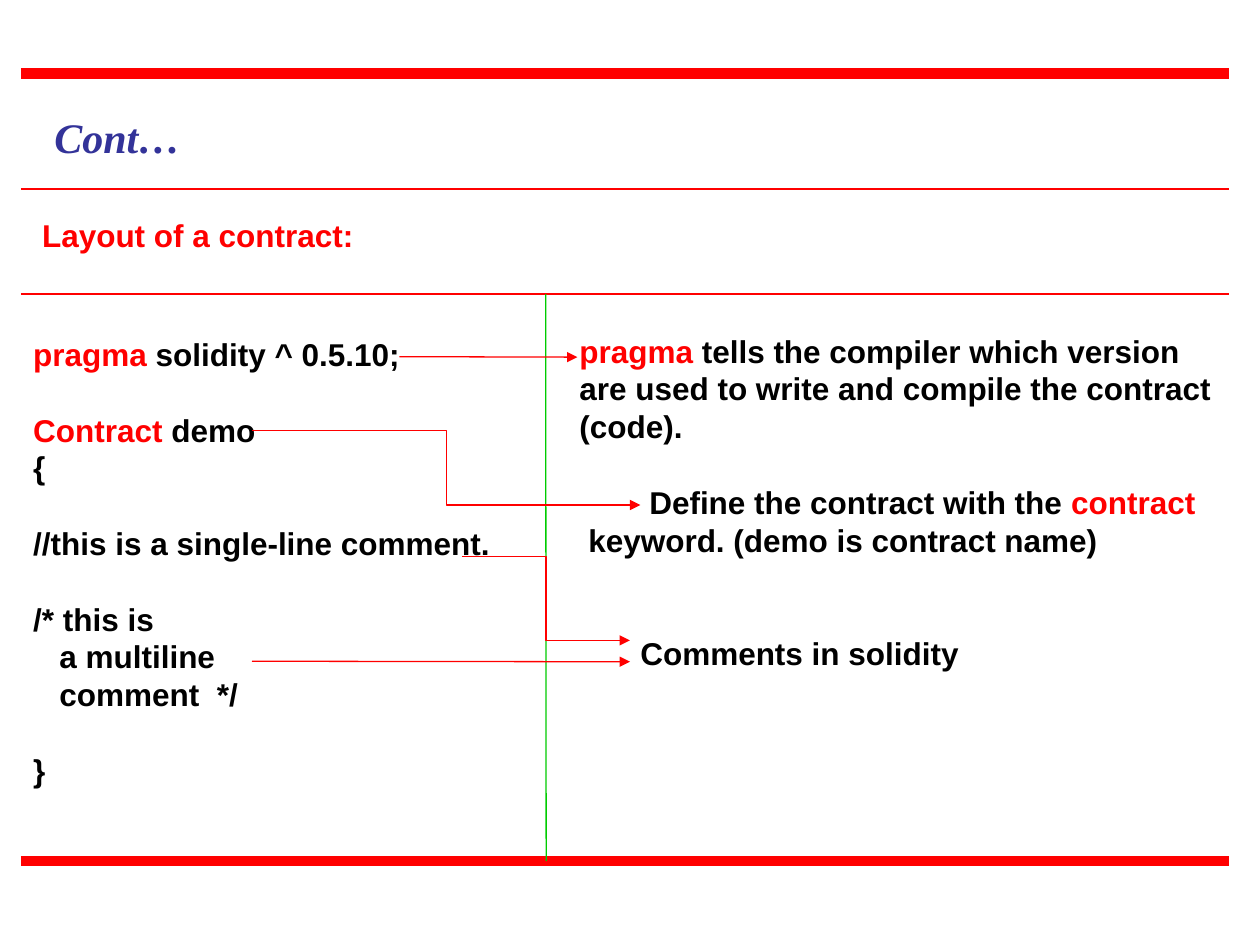
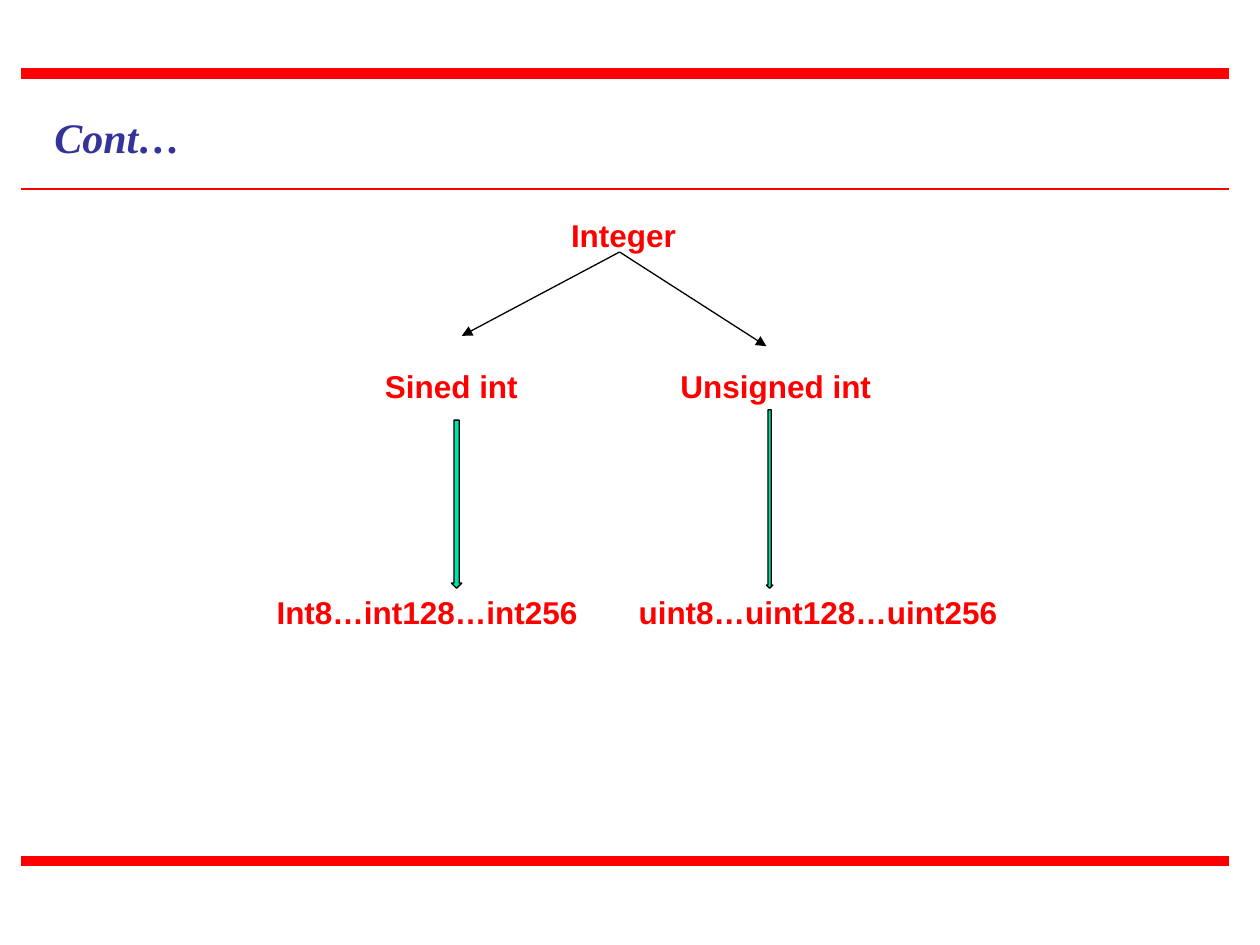
import pptx
import pptx.dml.color
import pptx.enum.shapes
import pptx.enum.text
import pptx.oxml.ns
import pptx.util
from lxml import etree

Cm = pptx.util.Cm
Pt = pptx.util.Pt
qn = pptx.oxml.ns.qn
Link = pptx.enum.shapes.MSO_CONNECTOR
Align = pptx.enum.text.PP_ALIGN

RED, BLACK, BLUE = "FF0000", "000000", "333399"
GREEN, MINT = "00CC00", "00E4A8"
SIZE, LEAD = 18, 1.2
LEFT, RIGHT = 0.42, 24.77
TOP, RULE, SPLIT, BASE = 1.48, 3.81, 5.93, 17.36
MID = 11


def paint(color, code):
    color.rgb = pptx.dml.color.RGBColor.from_string(code)


def draw(slide, ends, code, width=0.75, kind=Link.STRAIGHT, arrow=False):
    link = slide.shapes.add_connector(kind, *[Cm(end) for end in ends])
    link.line.width = Pt(width)
    paint(link.line.color, code)
    props = link._element.spPr
    if arrow:
        etree.SubElement(props.find(qn("a:ln")), qn("a:tailEnd"), type="triangle")
    etree.SubElement(props, qn("a:effectLst"))


deck = pptx.Presentation()
deck.slide_width, deck.slide_height = Cm(25.4), Cm(19.05)

slides = []
for _ in range(2):
    slide = deck.slides.add_slide(deck.slide_layouts[5])
    slides.append(slide)
    for y, width in ((TOP, 6), (RULE, 1.5), (BASE, 6)):
        draw(slide, (LEFT, y, RIGHT, y), RED, width)
    title = slide.shapes.title
    title.left, title.top = Cm(0.84), Cm(2.12)
    title.width, title.height = Cm(15.88), Cm(1.27)
    frame = title.text_frame
    frame.text = "Cont…"
    frame.auto_size = pptx.enum.text.MSO_AUTO_SIZE.NONE
    frame.vertical_anchor = pptx.enum.text.MSO_ANCHOR.TOP
    para = frame.paragraphs[0]
    para.alignment = Align.LEFT
    para.line_spacing = Pt(24 * LEAD)
    para.font.name, para.font.size = "Times New Roman", Pt(24)
    para.font.bold = para.font.italic = True
    paint(para.font.color, BLUE)

layout, types = slides

heading = [(0, 0.18, 0, [("Layout of a contract:", RED)])]
code = [
    (0, 0, 0, [("pragma", RED), (" solidity ^ 0.5.10;", BLACK)]),
    (1, 0, 0, [("Contract", RED), (" demo", BLACK)]),
    (0, 0, 0, [("{", BLACK)]),
    (1, 0, 0, [("//this is a single-line comment.", BLACK)]),
    (1, 0, 0, [("/* this is", BLACK)]),
    (0, 0, 0, [("   a multiline", BLACK)]),
    (0, 0, 0, [("   comment  */", BLACK)]),
    (1, 0, 0, [("}", BLACK)]),
]
notes = [
    (0, 0, 0, [("pragma", RED), (" tells the compiler which version are used to "
                                 "write and compile the contract (code).", BLACK)]),
    (1, 0.18, 1.23, [("Define the contract with the ", BLACK), ("contract ", RED),
                     ("keyword. (demo is contract name)", BLACK)]),
    (2, 1.23, 0, [("Comments in solidity", BLACK)]),
]
boxes = [
    (layout, (LEFT, 4.24, 23.44, 1.02), Align.JUSTIFY, heading),
    (layout, (LEFT, 6.63, 10.16, 9.4), Align.LEFT, code),
    (layout, (11.43, 6.56, 13.34, 10.16), Align.LEFT, notes),
]
for mid, line, label in (
    (12.57, 0, "Integer"),
    (9.1, 4, "Sined int"),
    (15.64, 4, "Unsigned int"),
    (8.61, 10, "Int8…int128…int256"),
    (16.49, 10, "uint8…uint128…uint256"),
):
    wide = 0.8 + 0.34 * len(label)
    place = (mid - wide / 2, 4.23 + 0.76 * line, wide, 1.02)
    boxes.append((types, place, Align.CENTER, [(0, 0, 0, [(label, RED)])]))

for slide, place, align, rows in boxes:
    frame = slide.shapes.add_textbox(*[Cm(part) for part in place]).text_frame
    frame.word_wrap = True
    for num, (skip, margin, indent, runs) in enumerate(rows):
        para = frame.add_paragraph() if num else frame.paragraphs[0]
        para.alignment = align
        para.line_spacing = Pt(SIZE * LEAD)
        if skip:
            para.space_before = Pt(skip * SIZE * LEAD)
        props = para._p.get_or_add_pPr()
        props.set("marL", str(Cm(margin)))
        props.set("indent", str(Cm(indent)))
        para.font.name, para.font.size, para.font.bold = "Arial", Pt(SIZE), True
        if len(runs) == 1:
            paint(para.font.color, runs[0][1])
        for text, shade in runs:
            run = para.add_run()
            run.text = text
            if len(runs) > 1:
                paint(run.font.color, shade)

draw(layout, (LEFT, SPLIT, RIGHT, SPLIT), RED, 1.5)
draw(layout, (MID, SPLIT, MID + 0.01, BASE), GREEN)
for kind, ends in (
    (Link.STRAIGHT, (5.08, 13.33, 12.7, 13.34)),
    (Link.ELBOW, (5.08, 8.68, 12.91, 10.18)),
    (Link.STRAIGHT, (8.05, 7.19, 11.64, 7.2)),
    (Link.ELBOW, (9.31, 11.22, 12.7, 12.91)),
):
    draw(layout, ends, RED, kind=kind, arrow=True)

for x, y in ((9.31, 6.77), (15.45, 6.98)):
    draw(types, (12.49, 5.08, x, y), BLACK, arrow=True)
for place in ((9.1, 8.47, 0.21, 3.39), (15.45, 8.26, 0.13, 3.6)):
    arrow = types.shapes.add_shape(
        pptx.enum.shapes.MSO_SHAPE.DOWN_ARROW, *[Cm(part) for part in place])
    arrow.shadow.inherit = False
    arrow.fill.solid()
    paint(arrow.fill.fore_color, MINT)
    arrow.line.width = Pt(0.75)
    paint(arrow.line.color, BLACK)

deck.save("out.pptx")
